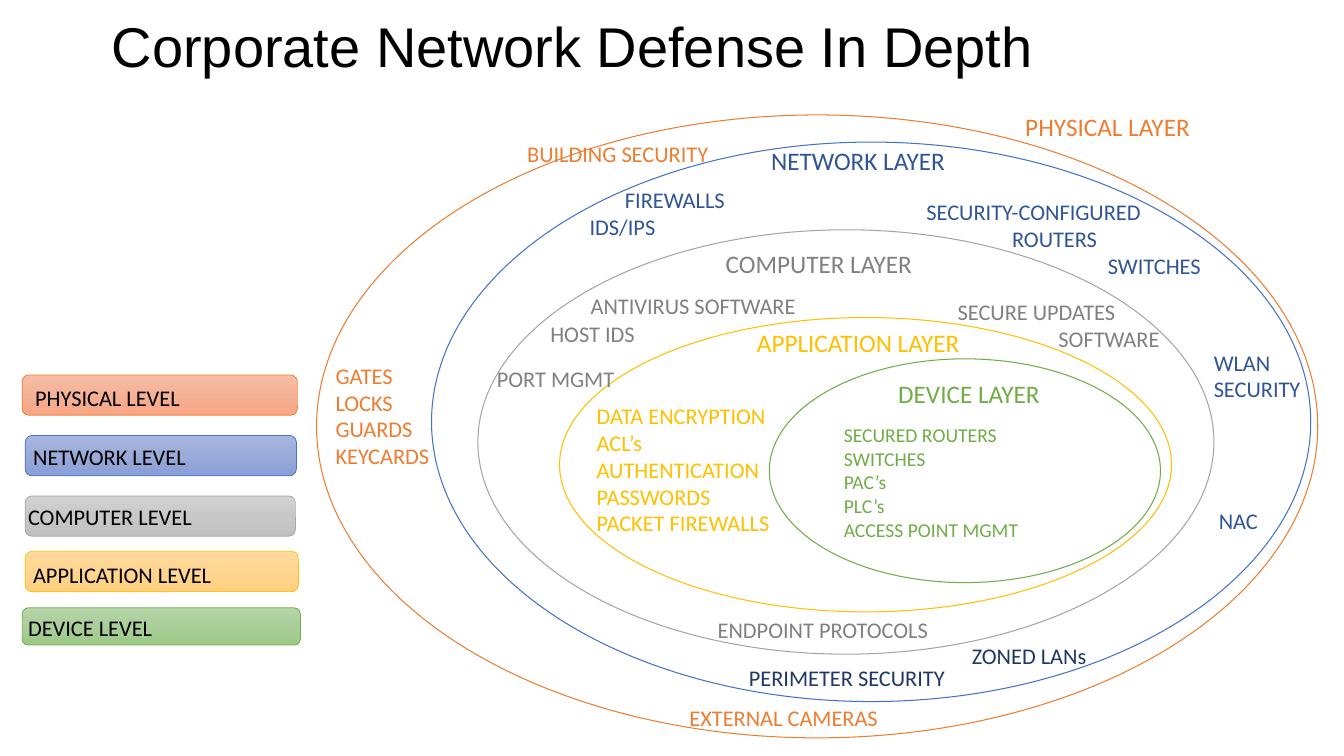
"""Builds the Corporate Network Defense In Depth slide."""
import copy

import pptx
import pptx.dml.color
import pptx.enum.shapes
import pptx.enum.text
import pptx.oxml.ns
import pptx.util

Inches, Pt = pptx.util.Inches, pptx.util.Pt
RGB = pptx.dml.color.RGBColor
KIND = pptx.enum.shapes.MSO_SHAPE
FIT = pptx.enum.text.MSO_AUTO_SIZE
qn = pptx.oxml.ns.qn

BLACK = RGB(0x00, 0x00, 0x00)
ORANGE = RGB(0xED, 0x7D, 0x31)
BLUE = RGB(0x44, 0x72, 0xC4)
DEEP = RGB(0x2F, 0x55, 0x97)
NAVY = RGB(0x20, 0x38, 0x64)
SILVER = RGB(0xA5, 0xA5, 0xA5)
GRAY = RGB(0x80, 0x80, 0x80)
GOLD = RGB(0xFF, 0xC0, 0x00)
GREEN = RGB(0x70, 0xAD, 0x47)
PEACH = [RGB(0xF7, 0xBD, 0xA5), RGB(0xF5, 0xB1, 0x96), RGB(0xF8, 0xA5, 0x82)]
SKY = [RGB(0xA8, 0xB7, 0xDF), RGB(0x9A, 0xAB, 0xD9), RGB(0x88, 0x9E, 0xD7)]
ASH = [RGB(0xD2, 0xD2, 0xD2), RGB(0xC8, 0xC8, 0xC8), RGB(0xC0, 0xC0, 0xC0)]
SAND = [RGB(0xFF, 0xDB, 0x9E), RGB(0xFF, 0xD5, 0x90), RGB(0xFF, 0xD0, 0x7C)]
MINT = [RGB(0xB5, 0xD5, 0xA7), RGB(0xAA, 0xCE, 0x9A), RGB(0x9C, 0xC9, 0x87)]

TITLE = "Corporate Network Defense In Depth"

# name, text color, label (left, top, width), line color, ellipse box
LAYERS = [
    ("PHYSICAL", ORANGE, (10.07, 1.05, 1.85), ORANGE, (3.14, 1.14, 9.93, 6.18)),
    ("NETWORK", DEEP, (7.55, 1.39, 1.94), BLUE, (4.28, 1.41, 8.72, 5.55)),
    ("COMPUTER", GRAY, (7.1, 2.41, 2.06), SILVER, (4.74, 2.28, 7.3, 4.21)),
    ("APPLICATION", GOLD, (7.41, 3.2, 2.23), GOLD, (5.55, 3.15, 6.07, 2.92)),
    ("DEVICE", GREEN, (8.81, 3.7, 1.62), GREEN, (7.63, 3.56, 3.88, 2.22)),
]

# label (left, top, width), bar box, gradient
LEVELS = [
    ((0.25, 3.76, 1.71), (0.22, 3.72, 2.73, 0.4), PEACH),
    ((0.23, 4.35, 1.79), (0.25, 4.32, 2.69, 0.4), SKY),
    ((0.18, 4.94, 1.9), (0.25, 4.92, 2.68, 0.4), ASH),
    ((0.23, 5.52, 2.33), (0.25, 5.47, 2.71, 0.4), SAND),
    ((0.18, 6.04, 2.55), (0.22, 6.03, 2.76, 0.37), MINT),
]

# left, top, width, size, color, lines, indents
NOTES = [
    (3.23, 3.54, 1.14, 16, ORANGE, ["GATES", "LOCKS", "GUARDS", "KEYCARDS"], []),
    (6.74, 6.94, 2.1, 16, ORANGE, ["EXTERNAL CAMERAS"], []),
    (5.13, 1.34, 2.02, 16, ORANGE, ["BUILDING SECURITY"], []),
    (5.75, 1.8, 1.56, 16, DEEP, ["FIREWALLS", "IDS/IPS"], [0.35, 0]),
    (9.54, 6.32, 1.36, 16, NAVY, ["ZONED LANs"], []),
    (9.09, 1.92, 2.96, 16, DEEP,
     ["SECURITY-CONFIGURED", "ROUTERS", "SWITCHES"], [0, 0.85, 1.8]),
    (7.33, 6.54, 2.17, 16, NAVY, ["PERIMETER SECURITY"], []),
    (5.76, 2.85, 2.26, 16, GRAY, ["ANTIVIRUS SOFTWARE"], []),
    (9.4, 2.91, 2.24, 16, GRAY, ["SECURE UPDATES", "SOFTWARE"], [0, 1]),
    (5.36, 3.13, 1.19, 16, GRAY, ["HOST IDS"], []),
    (7.02, 6.06, 2.37, 16, GRAY, ["ENDPOINT PROTOCOLS"], []),
    (4.83, 3.57, 1.38, 16, GRAY, ["PORT MGMT"], []),
    (11.99, 4.98, 0.59, 16, DEEP, ["NAC"], []),
    (5.82, 3.94, 1.94, 16, GOLD,
     ["DATA ENCRYPTION", "ACL’s", "AUTHENTICATION", "PASSWORDS",
      "PACKET FIREWALLS"], []),
    (8.27, 4.15, 1.95, 14, GREEN,
     ["SECURED ROUTERS", "SWITCHES", "PAC’s", "PLC’s", "ACCESS POINT MGMT"], []),
    (11.94, 3.41, 1.07, 16, DEEP, ["WLAN", "SECURITY"], []),
]

deck = pptx.Presentation()
deck.slide_width, deck.slide_height = Inches(13.33), Inches(7.5)
shapes = deck.slides.add_slide(deck.slide_layouts[6]).shapes


def write(left, top, wide, size, color, lines, steps=(), face="Calibri"):
    high = len(lines) * size * 1.22 / 72 + 0.1
    box = shapes.add_textbox(*map(Inches, (left, top, wide, high)))
    frame = box.text_frame
    frame.word_wrap, frame.auto_size = False, FIT.SHAPE_TO_FIT_TEXT
    frame.text = "\n".join(lines)
    for para in frame.paragraphs:
        for key, value in {"name": face, "size": Pt(size)}.items():
            setattr(para.font, key, value)
        para.font.color.rgb = color
    for para, step in zip(frame.paragraphs, steps):
        if step:
            para._p.get_or_add_pPr().set("marL", str(Inches(step)))


def draw(kind, area, color, width):
    shape = shapes.add_shape(kind, *map(Inches, area))
    shape.shadow.inherit = False
    shape.line.color.rgb, shape.line.width = color, Pt(width)
    return shape


def shade(shape, tones):
    fill = shape.fill
    fill.gradient()
    fill.gradient_angle = 270
    stops = shape._element.spPr.find(".//" + qn("a:gsLst"))
    stops.insert(1, copy.deepcopy(stops[0]))
    for stop, tone, place in zip(fill.gradient_stops, tones, (0, 0.5, 1)):
        stop.color.rgb, stop.position = tone, place


write(1.01, 0.07, 9.69, 40, BLACK, [TITLE], face="Arial")
for name, ink, spot, edge, area in LAYERS:
    draw(KIND.OVAL, area, edge, 0.75).fill.background()
    write(*spot, 18, ink, [name + " LAYER"])
for note in NOTES:
    write(*note)
for (name, _, _, edge, _), (spot, area, tones) in zip(LAYERS, LEVELS):
    shade(draw(KIND.FLOWCHART_ALTERNATE_PROCESS, area, edge, 0.5), tones)
    write(*spot, 16, BLACK, [name + " LEVEL"])

deck.save("out.pptx")
